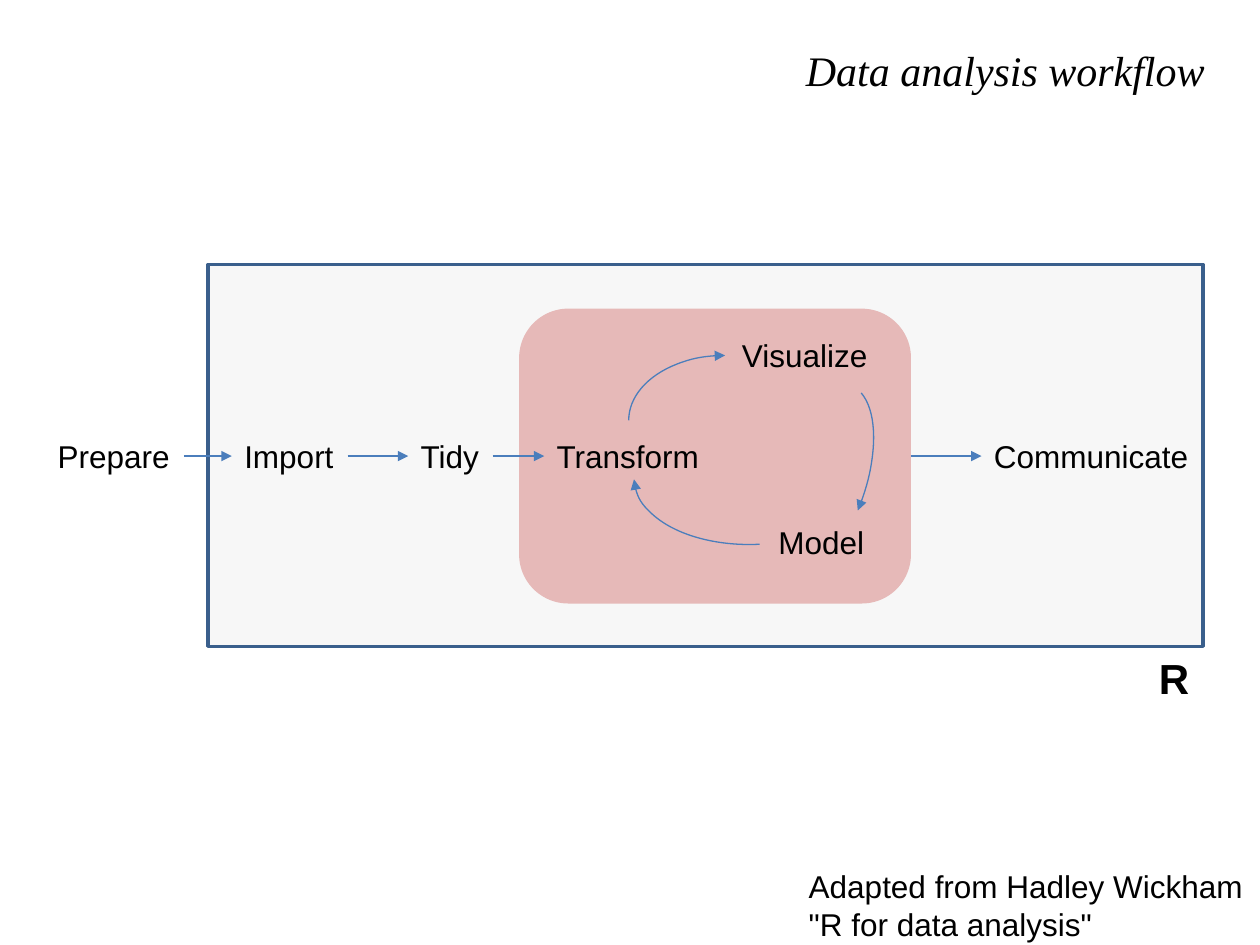
"""Build the data analysis workflow slide."""
import lxml.etree
import pptx
import pptx.dml.color
import pptx.enum.shapes
import pptx.enum.text
import pptx.oxml.ns
import pptx.util

Inches = pptx.util.Inches
Pt = pptx.util.Pt
SHAPES = pptx.enum.shapes.MSO_SHAPE
ALIGN = pptx.enum.text.PP_ALIGN
ANCHOR = pptx.enum.text.MSO_ANCHOR
qn = pptx.oxml.ns.qn
BLUE = "4B7EBC"
RIGHT, LEFT = 3, 1
STEP_HEIGHT = 0.4


def color(hex_string):
    """Return the colour for a hex string."""
    return pptx.dml.color.RGBColor.from_string(hex_string)


def add_text(slide, text, box, size=18, font="Arial", bold=False, italic=False,
             align=ALIGN.LEFT, anchor=ANCHOR.TOP, wrap=False):
    """Add a text box with one paragraph per line of text."""
    label = slide.shapes.add_textbox(*map(Inches, box))
    frame = label.text_frame
    frame.word_wrap = wrap
    frame.vertical_anchor = anchor
    if not wrap:
        frame.auto_size = pptx.enum.text.MSO_AUTO_SIZE.SHAPE_TO_FIT_TEXT
    frame.text = text
    for paragraph in frame.paragraphs:
        paragraph.alignment = align
        paragraph.font.size = Pt(size)
        paragraph.font.name = font
        paragraph.font.bold = bold
        paragraph.font.italic = italic
        paragraph.font.color.rgb = color("000000")
    return label


def add_panel(slide, kind, box, fill, line=None, opacity=100):
    """Add a filled panel with an optional outline."""
    panel = slide.shapes.add_shape(kind, *map(Inches, box))
    panel.shadow.inherit = False
    panel.fill.solid()
    panel.fill.fore_color.rgb = color(fill)
    if opacity < 100:
        solid = panel._element.spPr.find(qn("a:solidFill"))
        lxml.etree.SubElement(solid[0], qn("a:alpha"), val=str(opacity * 1000))
    if line:
        panel.line.color.rgb = color(line)
        panel.line.width = Pt(2)
    else:
        panel.line.fill.background()
    return panel


def style_arrow(arrow):
    """Give a connector or an arc a thin blue line with an arrowhead."""
    arrow.line.color.rgb = color(BLUE)
    arrow.line.width = Pt(0.75)
    outline = arrow._element.spPr.find(qn("a:ln"))
    lxml.etree.SubElement(outline, qn("a:tailEnd"), type="triangle")


def add_arrow(slide, source, target):
    """Join the right side of source to the left side of target."""
    arrow = slide.shapes.add_connector(
        pptx.enum.shapes.MSO_CONNECTOR.STRAIGHT, 0, 0, 0, 0)
    arrow.begin_connect(source, RIGHT)
    arrow.end_connect(target, LEFT)
    style_arrow(arrow)
    lxml.etree.SubElement(arrow._element.spPr, qn("a:effectLst"))


def add_arc(slide, box, rotation, start=162):
    """Add a curved arrow; start is its first angle in 100000ths."""
    arc = slide.shapes.add_shape(SHAPES.ARC, *map(Inches, box))
    arc.shadow.inherit = False
    arc.rotation = rotation
    arc.adjustments[0] = start
    arc.fill.background()
    style_arrow(arc)


def add_cycle(slide, left, top, width, height):
    """Add the transform, visualize and model loop; return panel and entry."""
    panel = add_panel(slide, SHAPES.ROUNDED_RECTANGLE,
                      (left, top, width, height), "E6B9B8")
    transform, _, _ = [
        add_text(slide, name, (left + dx, top + dy, label_width, STEP_HEIGHT))
        for name, dx, dy, label_width in (
            ("Transform", 0.2, 0.97, 1.34),
            ("Visualize", 1.67, 0.17, 1.21),
            ("Model", 1.96, 1.65, 0.89))]
    for dx, dy, arc_width, arc_height, rotation, start in (
            (1.12, 0.12, 1.03, 1.53, 270, 162),
            (1.86, 0.54, 0.86, 1.8, 22.2, 166.01),
            (0.91, 0.74, 1.94, 1.13, 177.1, 162)):
        add_arc(slide, (left + dx, top + dy, arc_width, arc_height),
                rotation, start)
    return panel, transform


def add_workflow(slide, left, top, width, height):
    """Add the R frame, the steps around the cycle and their arrows."""
    add_panel(slide, SHAPES.RECTANGLE, (left, top, width, height),
              "D9D9D9", line="3A5F8C", opacity=20)
    cycle, transform = add_cycle(slide, left + 2.47, top + 0.35, 3.11, 2.34)
    prepare, load, tidy, communicate = [
        add_text(slide, name, (left + dx, top + 1.32, label_width, STEP_HEIGHT))
        for name, dx, label_width in (
            ("Prepare", -1.29, 1.1),
            ("Import", 0.19, 0.92),
            ("Tidy", 1.59, 0.67),
            ("Communicate", 6.14, 1.76))]
    for source, target in ((prepare, load), (load, tidy),
                           (tidy, transform), (cycle, communicate)):
        add_arrow(slide, source, target)
    add_text(slide, "R", (left + width - 0.45, top + height, 0.44, 0.51),
             size=24, bold=True)


def add_title(slide, *box):
    """Add the slide title."""
    add_text(slide, "Data analysis workflow", box, size=24,
             font="Times New Roman", italic=True, align=ALIGN.RIGHT,
             anchor=ANCHOR.MIDDLE, wrap=True)


def add_credit(slide, *box):
    """Add the source of the diagram."""
    add_text(slide, 'Adapted from Hadley Wickham\n"R for data analysis"', box)


def main():
    """Build and save the presentation."""
    deck = pptx.Presentation()
    deck.slide_width, deck.slide_height = Inches(10), Inches(7.5)
    slide = deck.slides.add_slide(deck.slide_layouts[6])
    add_title(slide, 0.27, 0.3, 9.39, 0.5)
    add_workflow(slide, 1.65, 2.1, 7.9, 3.03)
    add_credit(slide, 6.32, 6.83, 3.68, 0.71)
    deck.save("out.pptx")


if __name__ == "__main__":
    main()
